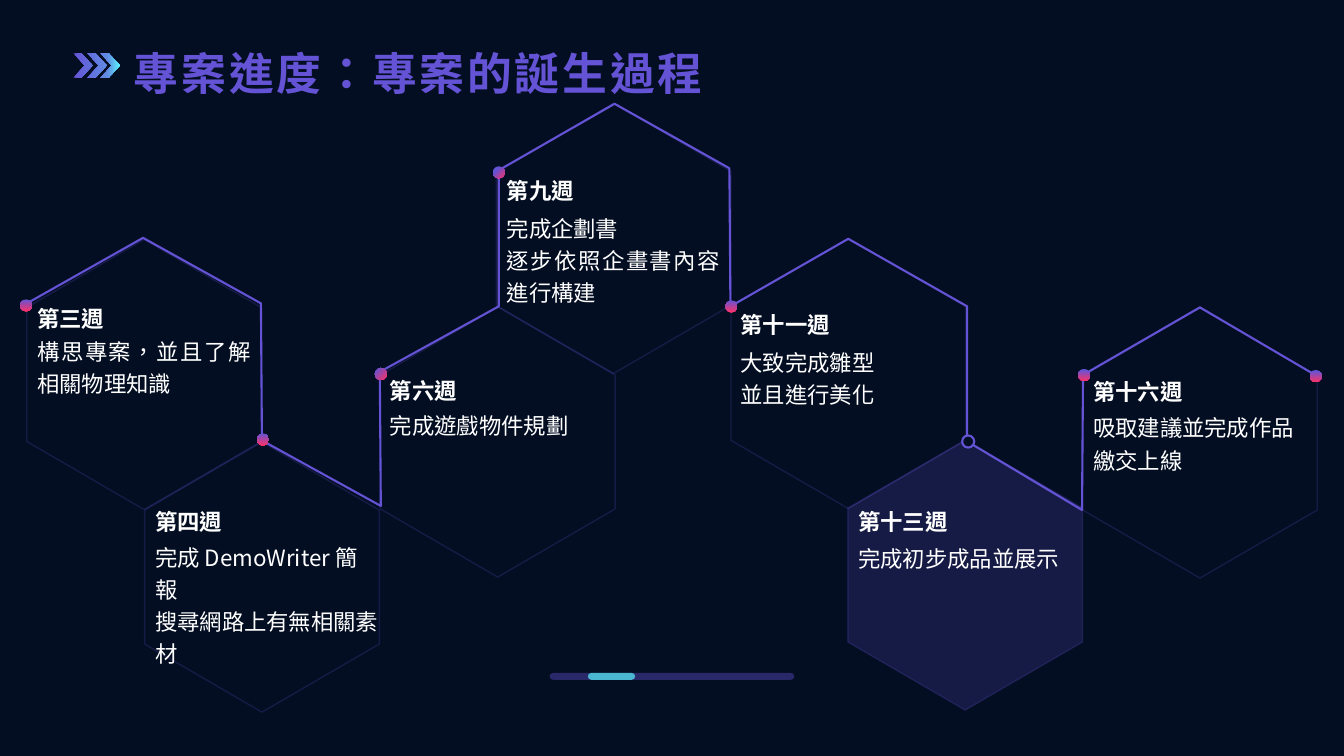
from copy import deepcopy

from lxml import etree
from pptx import Presentation
from pptx.dml.color import RGBColor
from pptx.enum.shapes import MSO_CONNECTOR, MSO_SHAPE
from pptx.enum.text import MSO_ANCHOR, MSO_AUTO_SIZE, PP_ALIGN
from pptx.oxml.ns import qn
from pptx.util import Inches, Pt

HEXAGON, OVAL = MSO_SHAPE.HEXAGON, MSO_SHAPE.OVAL
STRAIGHT = MSO_CONNECTOR.STRAIGHT
LEFT, JUSTIFY = PP_ALIGN.LEFT, PP_ALIGN.JUSTIFY
TOP, FIT = MSO_ANCHOR.TOP, MSO_AUTO_SIZE.SHAPE_TO_FIT_TEXT

FONT = "Noto Sans CJK SC"
NAVY, PURPLE, PINK = "030E22", "6453D5", "FB3268"
BLUE, CYAN, WHITE = "608CE3", "5AF3FD", "FFFFFF"
HEX_WIDTH, HEX_HEIGHT, DOT = 2.68, 2.33, 0.12

HEXAGONS = [
    (1.26, 4.56, None, 100), (3.6, 3.22, None, 100), (4.75, 1.2, None, 100),
    (7.08, 2.54, NAVY, 100), (8.24, 4.54, PURPLE, 20),
    (10.57, 3.23, None, 100), (0.09, 2.55, None, 100),
]
ROUTE = [
    (0.25, 3.02), (1.42, 2.36), (2.59, 3.01), (2.6, 4.37), (3.78, 5.02),
    (3.77, 3.69), (4.95, 3.04), (4.95, 1.69), (6.1, 1.03), (7.24, 1.67),
    (7.25, 3.04), (8.42, 2.37), (9.6, 3.04), (9.6, 4.38), (10.74, 5.06),
    (10.75, 3.72), (11.91, 3.05), (13.07, 3.73),
]
DOTS = [
    (0.2, 2.97, 0, 90), (2.55, 4.3, 0, 90), (3.72, 3.65, 10, 45),
    (4.89, 1.65, 35, 45), (7.2, 2.98, 0, 90), (10.7, 3.66, 10, 90),
    (13, 3.67, 10, 90),
]
WEEKS = [
    ("第三週", 0.37, 2.97, 3.3, 2.12, JUSTIFY, ["構思專案，並且了解相關物理知識"]),
    ("第四週", 1.54, 4.99, 5.34, 2.23, LEFT,
     ["完成 DemoWriter 簡報", "搜尋網路上有無相關素材"]),
    ("第六週", 3.87, 3.69, 4.04, 2.12, JUSTIFY, ["完成遊戲物件規劃"]),
    ("第九週", 5.03, 1.7, 2.08, 2.12, JUSTIFY,
     ["完成企劃書", "逐步依照企畫書內容進行構建"]),
    ("第十一週", 7.35, 3.03, 3.41, 2.12, LEFT, ["大致完成雛型", "並且進行美化"]),
    ("第十三週", 8.52, 4.99, 5.35, 2.12, JUSTIFY, ["完成初步成品並展示"]),
    ("第十六週", 10.85, 3.7, 4.06, 2.12, LEFT, ["吸取建議並完成作品 繳交上線"]),
]


def rgb(color):
    """Turn a hex string into a colour."""
    return RGBColor.from_string(color)


def set_alpha(fill_owner, percent):
    """Make the solid colour inside an element partly transparent."""
    color = next(fill_owner.iter(qn("a:srgbClr")))
    etree.SubElement(color, qn("a:alpha"), val=str(percent * 1000))


def set_gradient(shape, stops, angle):
    """Fill a shape with a linear gradient of (percent, colour) stops."""
    shape.fill.gradient()
    shape.fill.gradient_angle = (360 - angle) % 360
    stop_list = next(shape._element.iter(qn("a:gsLst")))
    for _ in stops[2:]:
        stop_list.append(deepcopy(stop_list[0]))
    for stop, (percent, color) in zip(shape.fill.gradient_stops, stops):
        stop.position = percent / 100
        stop.color.rgb = rgb(color)


def set_outline(shape, color, width):
    """Give a shape a solid outline."""
    shape.line.color.rgb = rgb(color)
    shape.line.width = Pt(width)


def add_hexagon(slide, left, top, color, opacity):
    """Add an upright hexagon with a faint outline."""
    hexagon = slide.shapes.add_shape(
        HEXAGON, Inches(left), Inches(top), Inches(HEX_WIDTH), Inches(HEX_HEIGHT))
    hexagon.rotation = 90
    hexagon.adjustments[0] = 0.29
    hexagon.shadow.inherit = False
    set_outline(hexagon, PURPLE, 1)
    set_alpha(hexagon.line._get_or_add_ln(), 20)
    if color is None:
        hexagon.fill.background()
        return
    hexagon.fill.solid()
    hexagon.fill.fore_color.rgb = rgb(color)
    if opacity < 100:
        set_alpha(hexagon._element.spPr.find(qn("a:solidFill")), opacity)


def add_outline_path(slide, contours, close):
    """Add a freeform made of one or more contours given in inches."""
    contours = [[(Inches(x), Inches(y)) for x, y in points] for points in contours]
    builder = slide.shapes.build_freeform(*contours[0][0])
    for index, points in enumerate(contours):
        if index:
            builder.move_to(*points[0])
        builder.add_line_segments(points[1:], close=close)
    path = builder.convert_to_shape()
    path.shadow.inherit = False
    return path


def add_chevrons(slide):
    """Add the triple chevron in front of the title."""
    contours = [
        [(x, 0.53), (x + 0.08, 0.53), (x + 0.19, 0.65),
         (x + 0.08, 0.77), (x, 0.77), (x + 0.11, 0.65)]
        for x in (1, 0.87, 0.73)
    ]
    chevrons = add_outline_path(slide, contours, True)
    set_gradient(chevrons, [(0, PURPLE), (74, BLUE), (100, CYAN)], 0)
    chevrons.line.fill.background()


def add_route(slide):
    """Add the line that leads through the weeks."""
    route = add_outline_path(slide, [ROUTE], False)
    route.fill.background()
    set_outline(route, PURPLE, 1.5)


def add_dot(slide, left, top):
    """Add a small round marker."""
    dot = slide.shapes.add_shape(
        OVAL, Inches(left), Inches(top), Inches(DOT), Inches(DOT))
    dot.shadow.inherit = False
    return dot


def format_text(frame, lines, size, color, bold=False, align=LEFT):
    """Write Traditional Chinese paragraphs into a frame without margins."""
    frame.margin_left = frame.margin_right = 0
    frame.margin_top = frame.margin_bottom = 0
    frame.word_wrap = True
    frame.vertical_anchor = TOP
    frame.auto_size = FIT
    frame.text = "\n".join(lines)
    for paragraph in frame.paragraphs:
        paragraph.alignment = align
        paragraph.line_spacing = 1.2
        font = paragraph.font
        font.size, font.bold, font.name = Pt(size), bold, FONT
        font.color.rgb = rgb(color)
        etree.SubElement(font._element, qn("a:ea"), typeface=FONT)
        for run in paragraph.runs:
            run.font._element.set("lang", "zh-TW")


def add_text(slide, left, top, width, lines, bold=False, align=LEFT):
    """Add a white text box for a week."""
    box = slide.shapes.add_textbox(
        Inches(left), Inches(top), Inches(width), Inches(0.31 * len(lines)))
    format_text(box.text_frame, lines, 16, WHITE, bold, align)


def add_title(slide, text):
    """Place and format the title placeholder."""
    title = slide.shapes.title
    title.left, title.top = Inches(1.33), Inches(0.35)
    title.width, title.height = Inches(7.75), Inches(0.59)
    format_text(title.text_frame, [text], 32, PURPLE, True)
    for run in title.text_frame.paragraphs[0].runs:
        run.font._element.set("spc", "200")


def add_bar(slide, start, end, color, opacity):
    """Add a thick round-ended line of the progress bar."""
    bar = slide.shapes.add_connector(
        STRAIGHT, Inches(start), Inches(6.71), Inches(end), Inches(6.71))
    set_outline(bar, color, 5)
    outline = bar.line._get_or_add_ln()
    outline.set("cap", "rnd")
    set_alpha(outline, opacity)
    etree.SubElement(bar._element.spPr, qn("a:effectLst"))


def main():
    """Build the project progress slide."""
    deck = Presentation()
    deck.slide_width, deck.slide_height = Inches(13.34), Inches(7.5)
    slide = deck.slides.add_slide(deck.slide_layouts[5])
    slide.background.fill.solid()
    slide.background.fill.fore_color.rgb = rgb(NAVY)
    add_chevrons(slide)
    for hexagon in HEXAGONS:
        add_hexagon(slide, *hexagon)
    add_route(slide)
    ring = add_dot(slide, 9.55, 4.32)
    ring.fill.solid()
    ring.fill.fore_color.rgb = rgb(NAVY)
    set_outline(ring, PURPLE, 1.5)
    for left, top, start, angle in DOTS:
        dot = add_dot(slide, left, top)
        set_gradient(dot, [(start, PURPLE), (100, PINK)], angle)
        dot.line.fill.background()
    for week, left, top, task_top, width, align, tasks in WEEKS:
        add_text(slide, left, top, width, [week], bold=True)
        add_text(slide, left, task_top, width, tasks, align=align)
    add_title(slide, "專案進度：專案的誕生過程")
    add_bar(slide, 5.49, 7.85, PURPLE, 40)
    add_bar(slide, 5.87, 6.27, CYAN, 70)
    deck.save("out.pptx")


if __name__ == "__main__":
    main()
